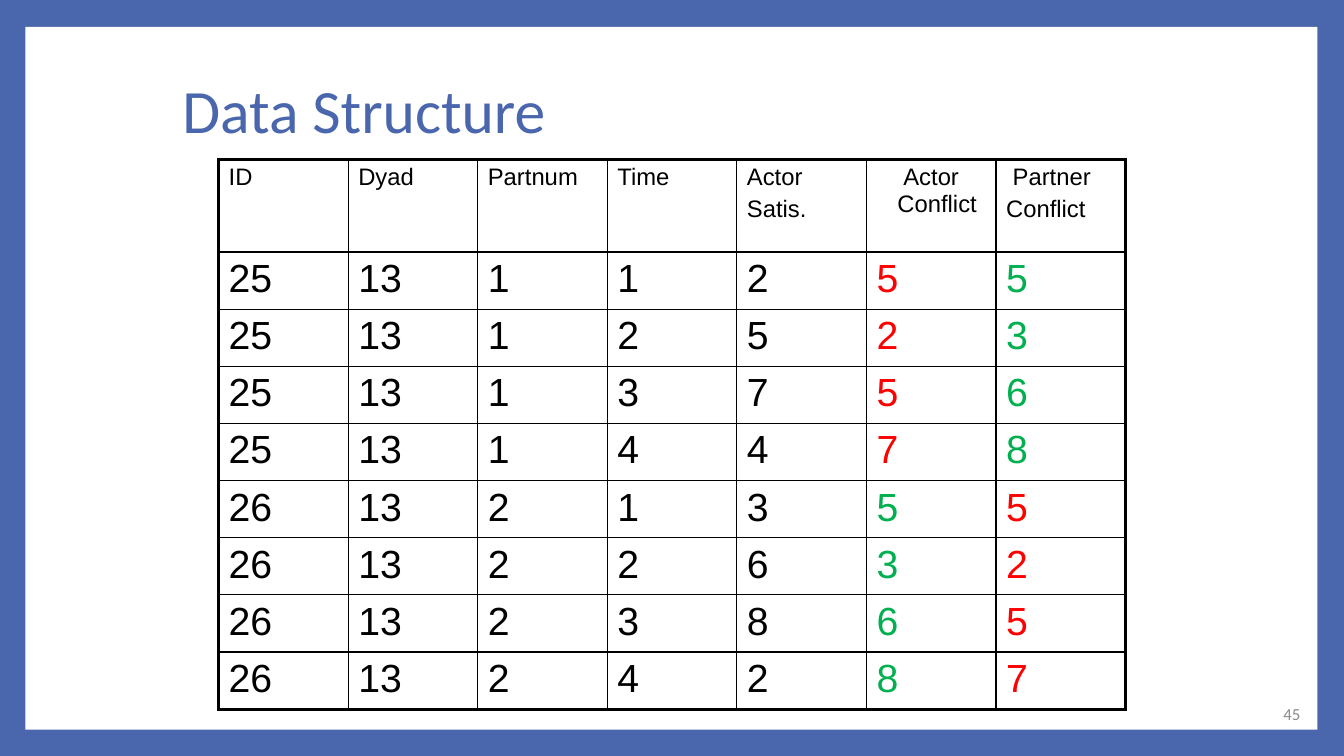
"""Build the Data Structure slide with its dyadic table."""
from pptx import Presentation, oxml, util as u
from pptx.dml.color import RGBColor
from pptx.enum import shapes, text
from pptx.oxml import ns

HUES = {"blue": "4A66AC", "white": "FFFFFF", "black": "000000",
        "red": "FF0000", "green": "00B050", "gray": "898989"}


def style(run, face, size, hue):
    for key, val in {"name": face, "size": u.Pt(size), "bold": False}.items():
        setattr(run.font, key, val)
    run.font.color.rgb = RGBColor.from_string(HUES[hue])


def edge(cell, side, width):
    cell._tc.get_or_add_tcPr().append(oxml.parse_xml(
        f'<a:ln{side} {ns.nsdecls("a")} w="{u.Pt(width)}"><a:solidFill>'
        f'<a:srgbClr val="{HUES["black"]}"/></a:solidFill></a:ln{side}>'))


deck = Presentation()
deck.slide_width, deck.slide_height = u.Cm(33.87), u.Cm(19.05)
slide = deck.slides.add_slide(deck.slide_layouts[5])
slide.background.fill.solid()
slide.background.fill.fore_color.rgb = RGBColor.from_string(HUES["blue"])

panel = slide.shapes.add_shape(
    shapes.MSO_SHAPE.RECTANGLE, u.Cm(0.64), u.Cm(0.68), u.Cm(32.56), u.Cm(17.71))
panel.shadow.inherit = False
panel.fill.solid()
panel.fill.fore_color.rgb = RGBColor.from_string(HUES["white"])
panel.line.fill.background()
tree = slide.shapes.title.element.getparent()
tree.insert(2, panel.element)

title = slide.shapes.title
place = {"left": 4.34, "top": 1.27, "width": 28.78, "height": 3.18}
for key, val in place.items():
    setattr(title, key, u.Cm(val))
title.text_frame.text = "Data Structure"
title.text_frame.vertical_anchor = text.MSO_ANCHOR.MIDDLE
head = title.text_frame.paragraphs[0]
head.alignment, head.line_spacing = text.PP_ALIGN.LEFT, 0.9
style(head.runs[0], "Calibri", 44, "blue")

rows = [["ID", "Dyad", "Partnum", "Time", "Actor\nSatis.",
         "Actor Conflict", " Partner\nConflict"]]
fight = {"red": [5, 2, 5, 7], "green": [5, 3, 6, 8]}
people = [(25, 1, [2, 5, 7, 4], "red", "green"),
          (26, 2, [3, 6, 8, 2], "green", "red")]
tints = [["black"] * 7]
for code, part, moods, own, other in people:
    for time, mood in enumerate(moods):
        rows.append([code, 13, part, time + 1, mood,
                     fight[own][time], fight[other][time]])
        tints.append(["black"] * 5 + [own, other])

high, wide = len(rows), len(rows[0])
table = slide.shapes.add_table(
    high, wide, u.Cm(5.51), u.Cm(4.01), u.Cm(22.86), u.Cm(13.84)).table
table.first_row = table.horz_banding = False
for col in table.columns:
    col.width = u.Cm(22.86 / wide)
for r, row in enumerate(rows):
    table.rows[r].height = u.Cm(1.44 if r else 2.34)
    for c, value in enumerate(row):
        cell = table.cell(r, c)
        cell.text = str(value)
        rims = {"L": c == 0, "R": c == wide - 1, "T": r == 0, "B": r == high - 1}
        for side, outer in rims.items():
            edge(cell, side, 2.25 if outer else 1)
        cell.fill.background()
        for para in cell.text_frame.paragraphs:
            props = para._p.get_or_add_pPr()
            props.set("marL", str(u.Cm(0.3)))
            props.set("indent", str(-u.Cm(0.3)))
            props.append(oxml.parse_xml(
                f'<a:spcBef {ns.nsdecls("a")}><a:spcPct val="20000"/></a:spcBef>'))
            if value == "Actor Conflict":
                para.alignment = text.PP_ALIGN.CENTER
            style(para.runs[0], "Arial", 28 if r else 17, tints[r][c])

page = slide.shapes.add_textbox(
    u.Cm(25.96), u.Cm(17.35), u.Cm(7.06), u.Cm(1.27)).text_frame
page.word_wrap = True
page.vertical_anchor = text.MSO_ANCHOR.MIDDLE
page.text = "45"
page.paragraphs[0].alignment = text.PP_ALIGN.RIGHT
style(page.paragraphs[0].runs[0], "Calibri", 12, "gray")

deck.save("out.pptx")
